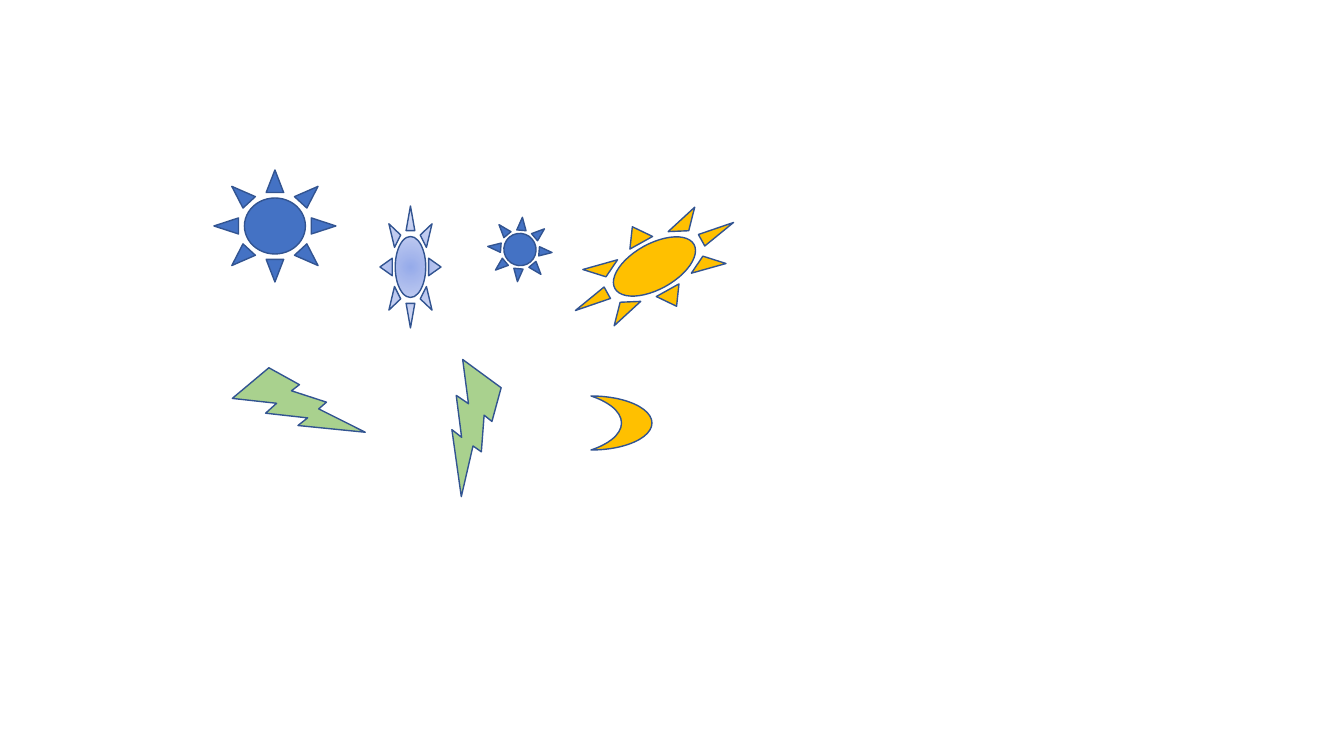
from lxml.etree import SubElement
from pptx import Presentation
from pptx.dml.color import RGBColor
from pptx.enum.shapes import MSO_SHAPE
from pptx.oxml.ns import qn
from pptx.util import Pt

EMU_PER_INCH = 914400
PX_PER_INCH = 100.8

COLORS = {
    "blue": "4472C4",
    "gold": "FFC000",
    "green": "A9D18E",
    "outline": "325491",
    "glow_center": "96ABEA",
    "glow_middle": "C0CBF0",
    "glow_edge": "E0E5F7",
}
GLOW_STOPS = [(0, "glow_center"), (50, "glow_middle"), (100, "glow_edge")]


def px(length):
    return round(length * EMU_PER_INCH / PX_PER_INCH)


def rgb(name):
    return RGBColor.from_string(COLORS[name])


def add_figure(slide, preset, box, color, rotation=0):
    shape = slide.shapes.add_shape(preset, *map(px, box))
    shape.rotation = rotation
    shape.shadow.inherit = False
    shape.fill.solid()
    shape.fill.fore_color.rgb = rgb(color)
    shape.line.color.rgb = rgb("outline")
    shape.line.width = Pt(1)
    return shape


def apply_radial_glow(shape):
    shape.fill.gradient()
    gradient = shape.element.spPr.find(qn("a:gradFill"))
    for child in list(gradient):
        gradient.remove(child)
    stops = SubElement(gradient, qn("a:gsLst"))
    for percent, color in GLOW_STOPS:
        stop = SubElement(stops, qn("a:gs"), pos=str(percent * 1000))
        SubElement(stop, qn("a:srgbClr"), val=COLORS[color])
    circle = SubElement(gradient, qn("a:path"), {"path": "circle"})
    SubElement(circle, qn("a:fillToRect"), {side: "50000" for side in "ltrb"})


def main():
    presentation = Presentation()
    presentation.slide_width = px(1344)
    presentation.slide_height = px(756)
    slide = presentation.slides.add_slide(presentation.slide_layouts[6])

    add_figure(slide, MSO_SHAPE.SUN, (214, 170, 122, 112), "blue")
    glowing_sun = add_figure(slide, MSO_SHAPE.SUN, (380, 206, 61, 122), "glow_center")
    apply_radial_glow(glowing_sun)
    add_figure(slide, MSO_SHAPE.SUN, (488, 217, 64, 65), "blue", 319.9)
    add_figure(slide, MSO_SHAPE.SUN, (564, 221, 181, 91), "gold", 330.9)

    for left, top, rotation in [(239, 361, 340.5), (412, 377, 56.8)]:
        add_figure(slide, MSO_SHAPE.LIGHTNING_BOLT, (left, top, 114, 93), "green", rotation)

    add_figure(slide, MSO_SHAPE.MOON, (591, 396, 61, 54), "gold", 180)
    presentation.save("out.pptx")


if __name__ == "__main__":
    main()
